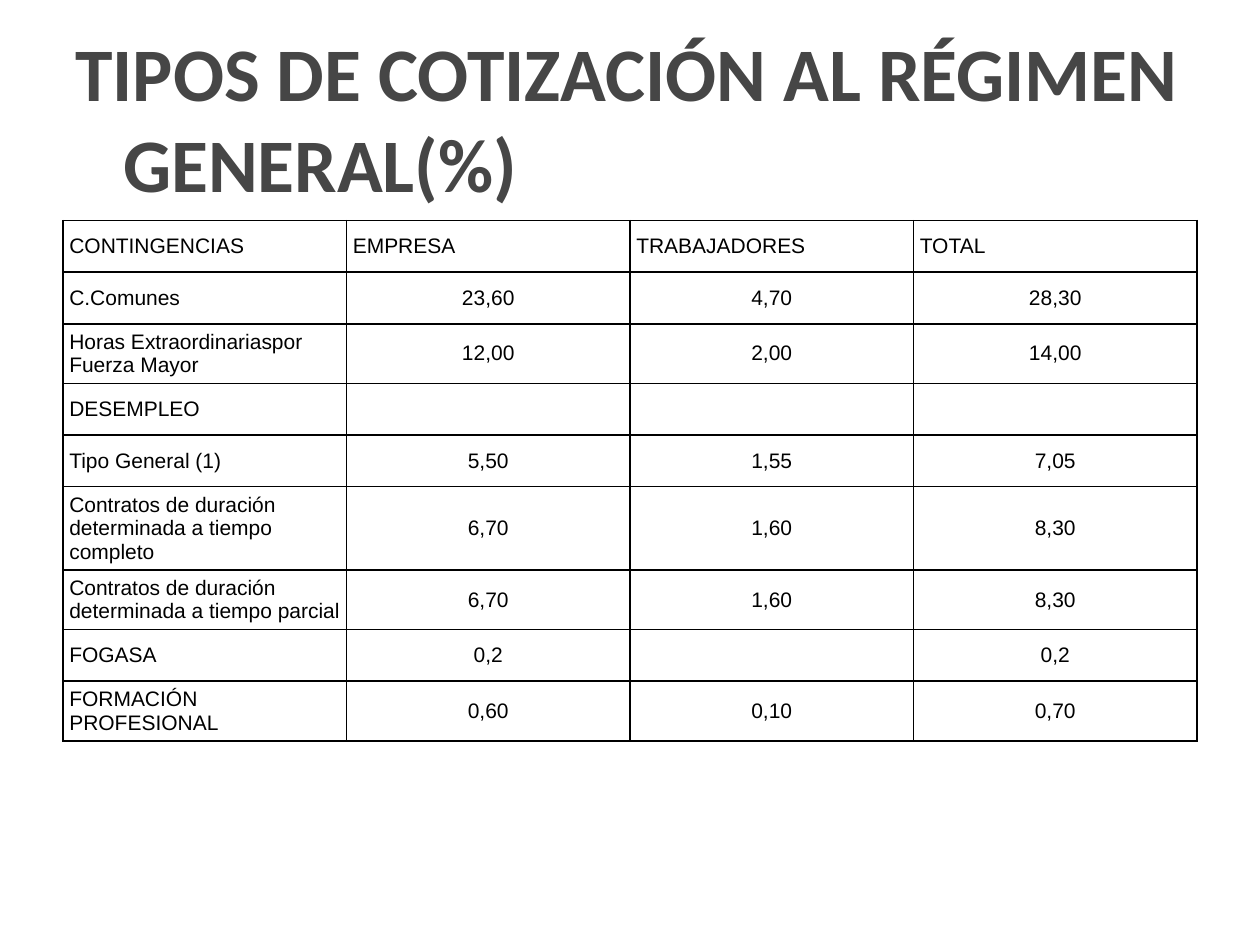
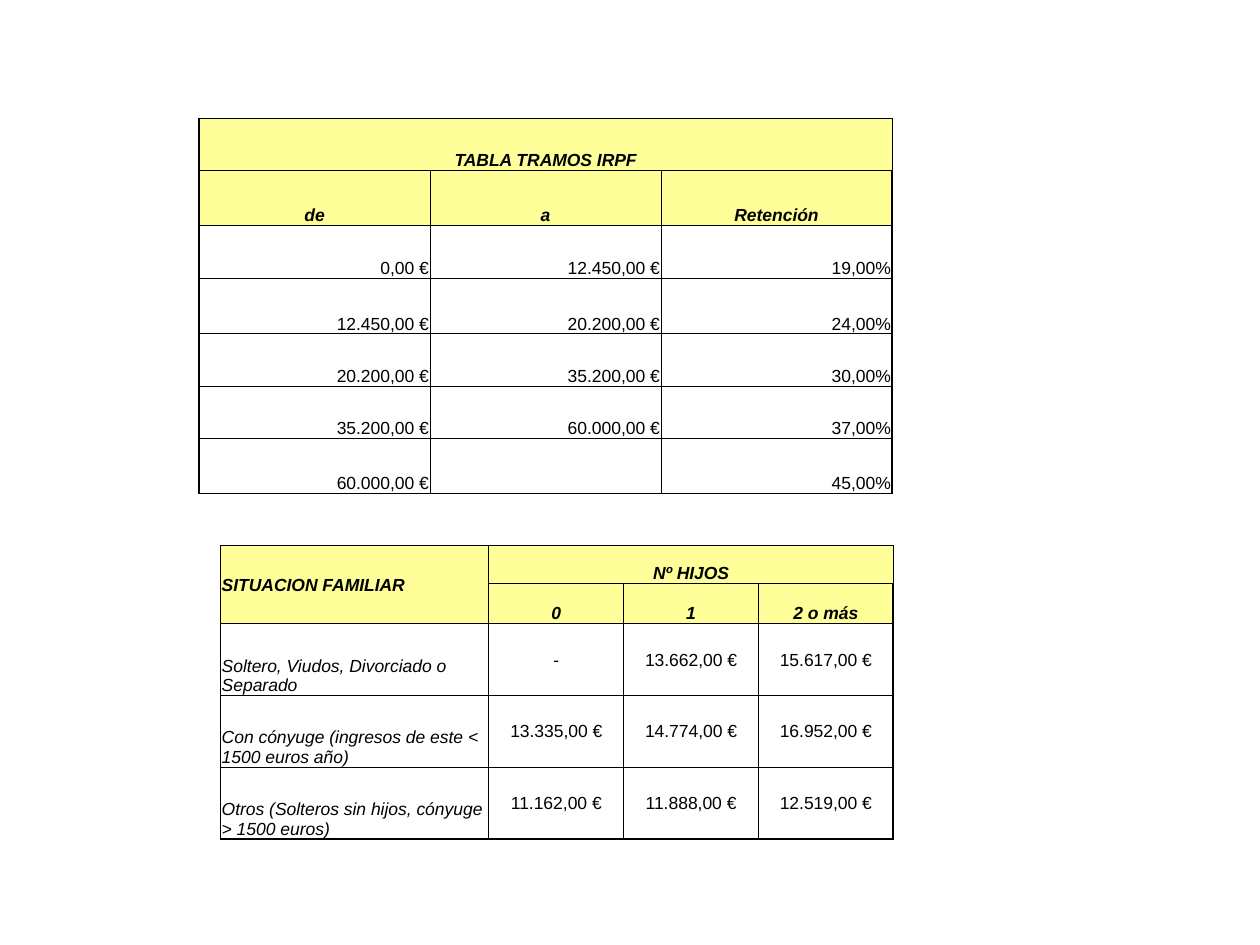
import pptx
import pptx.dml.color
import pptx.enum.text
import pptx.util
from lxml import etree
from pptx.util import Inches

ALIGN = pptx.enum.text.PP_ALIGN
ANCHOR = pptx.enum.text.MSO_ANCHOR
DRAWING = "http://schemas.openxmlformats.org/drawingml/2006/main"

BLACK = "000000"
TITLE_GREY = "464646"
HEADER_YELLOW = "FFFF99"

TITLE = "TIPOS DE COTIZACIÓN AL RÉGIMEN GENERAL(%)"

CONTRIBUTIONS = [
    ("CONTINGENCIAS", "EMPRESA", "TRABAJADORES", "TOTAL"),
    ("C.Comunes", "23,60", "4,70", "28,30"),
    ("Horas Extraordinariaspor Fuerza Mayor", "12,00", "2,00", "14,00"),
    ("DESEMPLEO", "", "", ""),
    ("Tipo General (1)", "5,50", "1,55", "7,05"),
    ("Contratos de duración determinada a tiempo completo", "6,70", "1,60", "8,30"),
    ("Contratos de duración determinada a tiempo parcial", "6,70", "1,60", "8,30"),
    ("FOGASA", "0,2", "", "0,2"),
    ("FORMACIÓN PROFESIONAL", "0,60", "0,10", "0,70"),
]

TAX_BRACKETS = [
    ("TABLA TRAMOS IRPF", "", ""),
    ("de", "a", "Retención"),
    ("0,00 €", "12.450,00 €", "19,00%"),
    ("12.450,00 €", "20.200,00 €", "24,00%"),
    ("20.200,00 €", "35.200,00 €", "30,00%"),
    ("35.200,00 €", "60.000,00 €", "37,00%"),
    ("60.000,00 €", "", "45,00%"),
]

FAMILY_SITUATIONS = [
    ("SITUACION FAMILIAR", "Nº HIJOS", "", ""),
    ("", "0", "1", "2 o más"),
    ("Soltero, Viudos, Divorciado o Separado", "-", "13.662,00 €", "15.617,00 €"),
    ("Con cónyuge (ingresos de este < 1500 euros año)",
     "13.335,00 €", "14.774,00 €", "16.952,00 €"),
    ("Otros (Solteros sin hijos, cónyuge > 1500 euros)",
     "11.162,00 €", "11.888,00 €", "12.519,00 €"),
]
HEADER_ROWS = 2


def rgb(value):
    return pptx.dml.color.RGBColor.from_string(value)


def style_text(paragraph, font_name, size, color, bold=False, italic=False):
    for run in paragraph.runs:
        font = run.font
        font.name = font_name
        font.size = pptx.util.Pt(size)
        font.color.rgb = rgb(color)
        font.bold = bold
        font.italic = italic


def set_borders(cell, widths):
    """Draw black cell borders; widths in points: left, right, top, bottom."""
    properties = cell._tc.get_or_add_tcPr()
    for index, (side, width) in enumerate(zip("LRTB", widths)):
        line = etree.Element(f"{{{DRAWING}}}ln{side}", w=str(pptx.util.Pt(width)))
        fill = etree.SubElement(line, f"{{{DRAWING}}}solidFill")
        etree.SubElement(fill, f"{{{DRAWING}}}srgbClr", val=BLACK)
        properties.insert(index, line)


def add_grid(slide, rows, left, top, widths, heights, style_cell, merges=()):
    """Add a plain table; style_cell(cell, row, column) finishes each cell."""
    table = slide.shapes.add_table(
        len(rows), len(widths), Inches(left), Inches(top),
        Inches(sum(widths)), Inches(sum(heights))).table
    table.first_row = False
    table.horz_banding = False
    for column, width in zip(table.columns, widths):
        column.width = Inches(width)
    for table_row, height in zip(table.rows, heights):
        table_row.height = Inches(height)
    for row, values in enumerate(rows):
        for column, value in enumerate(values):
            cell = table.cell(row, column)
            cell.text_frame.text = value
            cell.fill.background()
            style_cell(cell, row, column)
    for first, last in merges:
        table.cell(*first).merge(table.cell(*last))


def style_contribution(cell, row, column):
    cell.vertical_anchor = ANCHOR.MIDDLE
    cell.margin_left = cell.margin_right = Inches(0.05)
    cell.margin_top = cell.margin_bottom = Inches(0.05)
    paragraph = cell.text_frame.paragraphs[0]
    paragraph.alignment = ALIGN.CENTER if row and column else ALIGN.LEFT
    style_text(paragraph, "Arial", 12, BLACK)
    set_borders(cell, (1, 1, 1, 1))


def style_tax_cell(cell, row, column, row_count, column_count,
                   alignment, anchor, italic=False):
    """Yellow header rows, thin inner lines, thicker outline and header rule."""
    is_header = row < HEADER_ROWS
    cell.margin_left = cell.margin_right = cell.margin_top = Inches(0.01)
    cell.margin_bottom = 0
    cell.vertical_anchor = anchor
    if is_header:
        cell.fill.solid()
        cell.fill.fore_color.rgb = rgb(HEADER_YELLOW)
    paragraph = cell.text_frame.paragraphs[0]
    paragraph.alignment = alignment
    style_text(paragraph, "Arial", 10, BLACK, is_header, is_header or italic)
    thick_sides = (
        column == 0,
        column == column_count - 1,
        row in (0, HEADER_ROWS),
        row in (HEADER_ROWS - 1, row_count - 1),
    )
    set_borders(cell, [1 if thick else 0.5 for thick in thick_sides])


def style_bracket(cell, row, column):
    alignment = ALIGN.CENTER if row < HEADER_ROWS else ALIGN.RIGHT
    style_tax_cell(cell, row, column, len(TAX_BRACKETS), 3, alignment, ANCHOR.BOTTOM)


def style_family(cell, row, column):
    is_label = column == 0
    is_header = row < HEADER_ROWS
    style_tax_cell(
        cell, row, column, len(FAMILY_SITUATIONS), 4,
        ALIGN.LEFT if is_label else ALIGN.CENTER,
        ANCHOR.MIDDLE if is_label == is_header else ANCHOR.BOTTOM,
        italic=is_label)


def add_title(slide, text):
    box = slide.shapes.add_textbox(Inches(0.5), Inches(0.3), Inches(9), Inches(1.25))
    frame = box.text_frame
    frame.word_wrap = True
    frame.vertical_anchor = ANCHOR.MIDDLE
    frame.text = text
    paragraph = frame.paragraphs[0]
    style_text(paragraph, "Calibri", 43.2, TITLE_GREY, bold=True)
    properties = paragraph._p.get_or_add_pPr()
    properties.set("marL", str(Inches(0.38)))
    properties.set("indent", str(Inches(-0.38)))


def main():
    presentation = pptx.Presentation()
    presentation.slide_width = Inches(10)
    presentation.slide_height = Inches(7.5)
    blank = presentation.slide_layouts[6]

    contribution_slide = presentation.slides.add_slide(blank)
    add_grid(contribution_slide, CONTRIBUTIONS, 0.5, 1.75, [2.25] * 4,
             [0.41] * len(CONTRIBUTIONS), style_contribution)
    add_title(contribution_slide, TITLE)

    tax_slide = presentation.slides.add_slide(blank)
    add_grid(tax_slide, TAX_BRACKETS, 1.58, 0.94, [5.5 / 3] * 3,
             [0.41, 0.44, 0.42, 0.44, 0.42, 0.41, 0.44], style_bracket,
             merges=[((0, 0), (0, 2))])
    add_grid(tax_slide, FAMILY_SITUATIONS, 1.75, 4.33, [2.13] + [1.07] * 3,
             [0.3, 0.32] + [0.57] * 3, style_family,
             merges=[((0, 0), (1, 0)), ((0, 1), (0, 3))])

    presentation.save("out.pptx")


if __name__ == "__main__":
    main()
